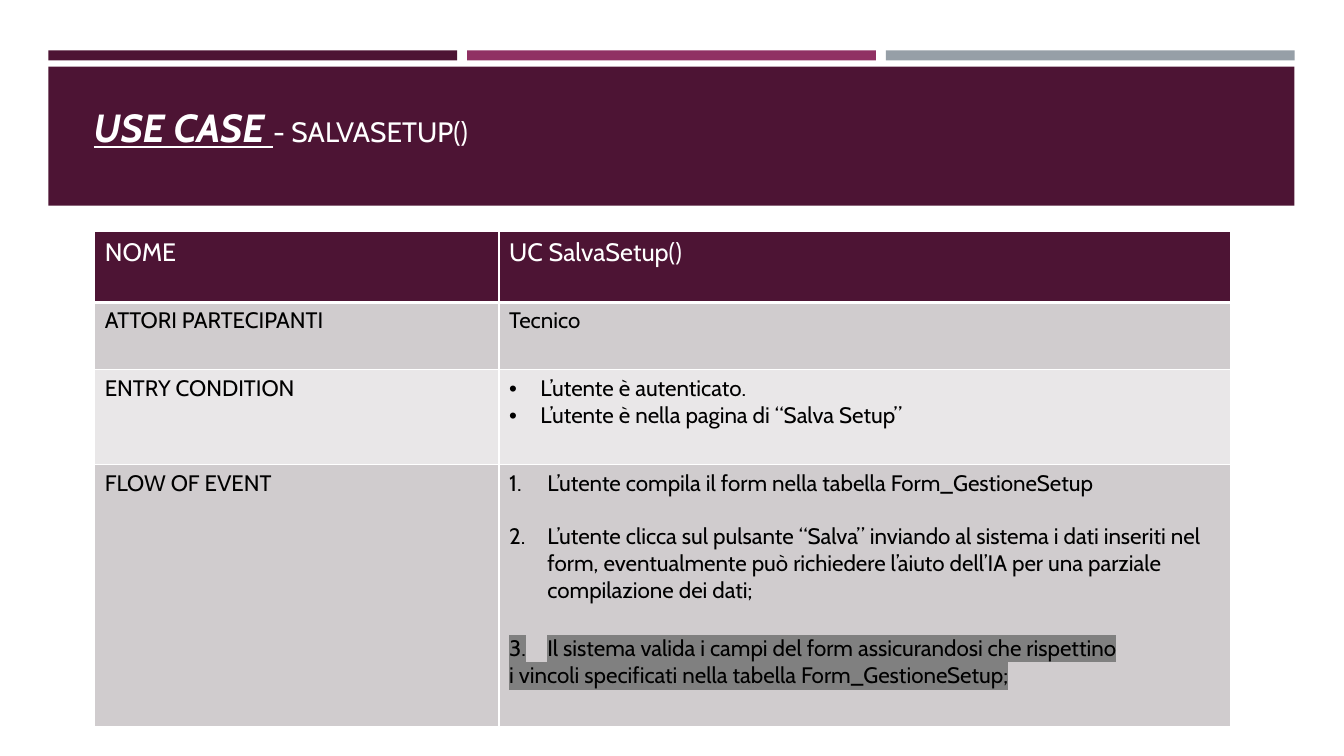
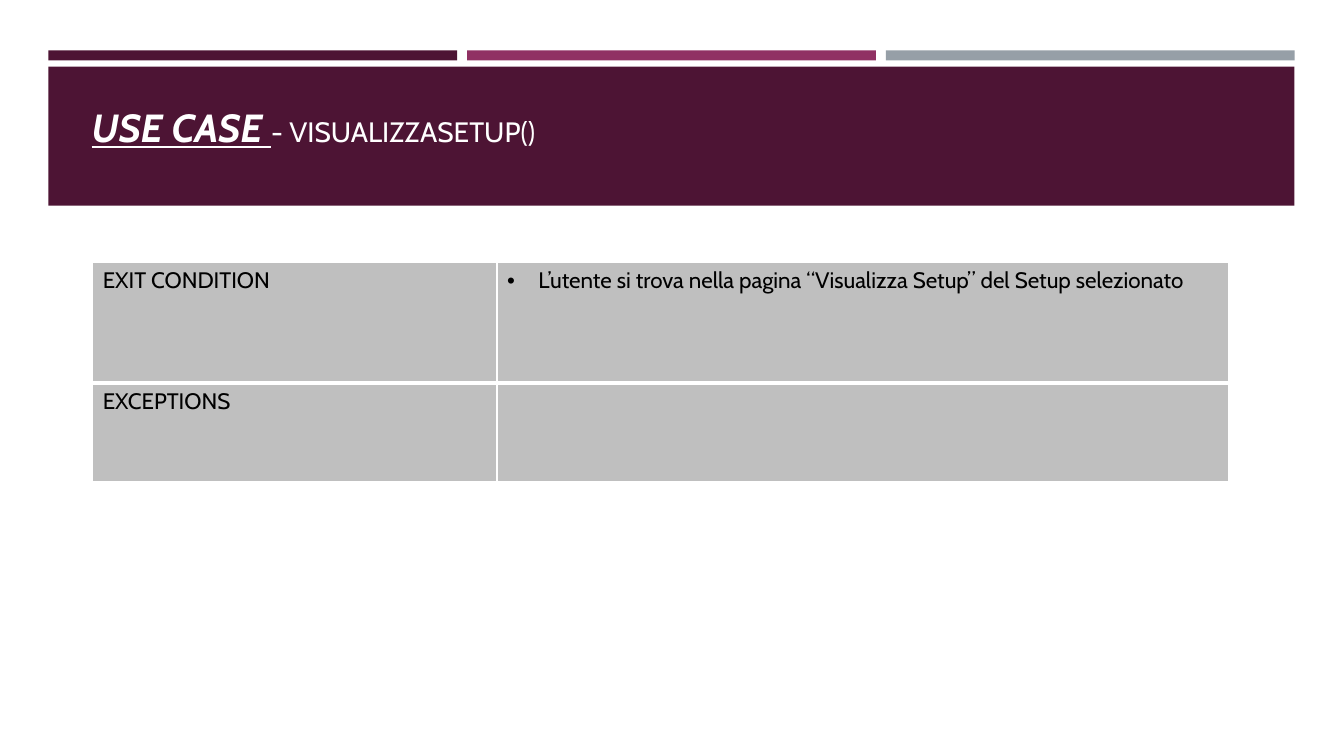
from dataclasses import dataclass

from lxml import etree
from pptx import Presentation
from pptx.dml.color import RGBColor
from pptx.enum.shapes import MSO_SHAPE
from pptx.oxml.ns import qn
from pptx.util import Inches, Pt

RECT = MSO_SHAPE.RECTANGLE


@dataclass(frozen=True)
class Theme:
    font: str = "Cabin"
    plum: str = "4D1434"
    berry: str = "903163"
    steel: str = "969FA7"
    white: str = "FFFFFF"
    black: str = "000000"
    odd: str = "D0CCCE"
    even: str = "E9E7E8"
    plain: str = "BFBFBF"
    mark: str = "808080"
    lead: int = 28
    sub: int = 20
    head: int = 18
    body: int = 16
    thin: int = 1
    thick: int = 3


T = Theme()


@dataclass
class Item:
    """One paragraph of a table cell."""
    text: str
    kind: str = ""
    gap: int = 0
    mark: bool = False


@dataclass
class Row:
    high: float
    fill: str
    label: str
    items: list
    size: int = T.body
    color: str = T.black


def style(font, size, color):
    font.name = T.font
    font.size = Pt(size)
    font.color.rgb = RGBColor.from_string(color)


def add_node(parent, tag, **attrs):
    return etree.SubElement(parent, qn(tag), attrs)


def add_color(parent, color):
    add_node(parent, "a:srgbClr", val=color)


def add_rect(slide, left, top, width, height, color):
    rect = slide.shapes.add_shape(
        RECT, Inches(left), Inches(top), Inches(width), Inches(height))
    rect.shadow.inherit = False
    rect.fill.solid()
    rect.fill.fore_color.rgb = RGBColor.from_string(color)
    rect.line.fill.background()


def add_band(slide, left, top, width):
    """Three thin bars above the wide title band."""
    gap = 0.1
    bar = (width - 2 * gap) / 3
    for i, color in enumerate((T.plum, T.berry, T.steel)):
        add_rect(slide, left + i * (bar + gap), top, bar, 0.1, color)
    add_rect(slide, left, top + 0.16, width, 1.38, T.plum)


def add_title(slide, left, top, name):
    box = slide.shapes.add_textbox(
        Inches(left), Inches(top), Inches(11.12), Inches(0.6))
    box.text_frame.word_wrap = True
    para = box.text_frame.paragraphs[0]
    lead, rest = para.add_run(), para.add_run()
    lead.text, rest.text = "USE CASE ", f"- {name}"
    style(lead.font, T.lead, T.white)
    style(rest.font, T.sub, T.white)
    lead.font.bold = lead.font.italic = lead.font.underline = True


def set_list(para, kind):
    """Hanging indent with a bullet or an automatic number."""
    props = para._p.get_or_add_pPr()
    indent = Inches(0.31 if kind == "dot" else 0.38)
    props.set("marL", str(indent))
    props.set("indent", str(-indent))
    if kind == "dot":
        add_node(props, "a:buFont", typeface="Arial")
        add_node(props, "a:buChar", char="•")
    else:
        add_node(props, "a:buFont", typeface="+mj-lt")
        add_node(props, "a:buAutoNum", type="arabicPeriod")


def fill_text(cell, items, size, color):
    frame = cell.text_frame
    for i, item in enumerate(items):
        para = frame.add_paragraph() if i else frame.paragraphs[0]
        if item.kind:
            set_list(para, item.kind)
        if item.gap:
            para.space_before = Pt(item.gap)
        style(para.font, size, color)
        run = para.add_run()
        run.text = item.text
        if item.mark:
            add_color(add_node(run._r.get_or_add_rPr(), "a:highlight"), T.mark)


def set_edges(cell, row):
    """White edges, with a thick rule below the first row."""
    props = cell._tc.get_or_add_tcPr()
    for side in "LRTB":
        thick = (row, side) in ((0, "B"), (1, "T"))
        width = Pt(T.thick if thick else T.thin)
        line = add_node(props, f"a:ln{side}", w=str(width))
        add_color(add_node(line, "a:solidFill"), T.white)


def add_grid(slide, left, top, rows):
    cols = (4.01, 7.26)
    high = sum(row.high for row in rows)
    table = slide.shapes.add_table(
        len(rows), len(cols), Inches(left), Inches(top),
        Inches(sum(cols)), Inches(high)).table
    table.first_row = table.horz_banding = False
    for col, width in zip(table.columns, cols):
        col.width = Inches(width)
    for r, row in enumerate(rows):
        table.rows[r].height = Inches(row.high)
        for c, items in enumerate(([Item(row.label)], row.items)):
            cell = table.cell(r, c)
            set_edges(cell, r)
            cell.fill.solid()
            cell.fill.fore_color.rgb = RGBColor.from_string(row.fill)
            fill_text(cell, items, row.size, row.color)


def add_case(deck, name, left, top, rows):
    """A use case slide: band, title and table."""
    slide = deck.slides.add_slide(deck.slide_layouts[6])
    add_band(slide, 0.48, 0.5, 12.36)
    add_title(slide, left - 0.11, 0.98, name)
    add_grid(slide, left, top, rows)


SAVE = [
    Row(0.7, T.plum, "NOME", [Item("UC SalvaSetup()")], T.head, T.white),
    Row(0.67, T.odd, "ATTORI PARTECIPANTI", [Item("Tecnico")]),
    Row(0.94, T.even, "ENTRY CONDITION", [
        Item("L’utente è autenticato.", "dot"),
        Item("L’utente è nella pagina di “Salva Setup”", "dot"),
    ]),
    Row(2.6, T.odd, "FLOW OF EVENT", [
        Item("L’utente compila il form nella tabella Form_GestioneSetup",
             "num"),
        Item("L’utente clicca sul pulsante “Salva” inviando al sistema i dati "
             "inseriti nel form, eventualmente può richiedere l’aiuto dell’IA "
             "per una parziale compilazione dei dati;", "num", 19),
        Item("Il sistema valida i campi del form assicurandosi che rispettino",
             "num", 22, True),
        Item("i vincoli specificati nella tabella Form_GestioneSetup;",
             mark=True),
    ]),
]

VIEW = [
    Row(1.2, T.plain, "EXIT CONDITION", [
        Item("L’utente si trova nella pagina “Visualizza Setup” del Setup "
             "selezionato", "dot"),
    ]),
    Row(0.98, T.plain, "EXCEPTIONS", []),
]


def main():
    deck = Presentation()
    deck.slide_width, deck.slide_height = Inches(13.33), Inches(7.5)
    add_case(deck, "SALVASETUP()", 0.94, 2.3, SAVE)
    add_case(deck, "VISUALIZZASETUP()", 0.92, 2.6, VIEW)
    deck.save("out.pptx")


if __name__ == "__main__":
    main()
